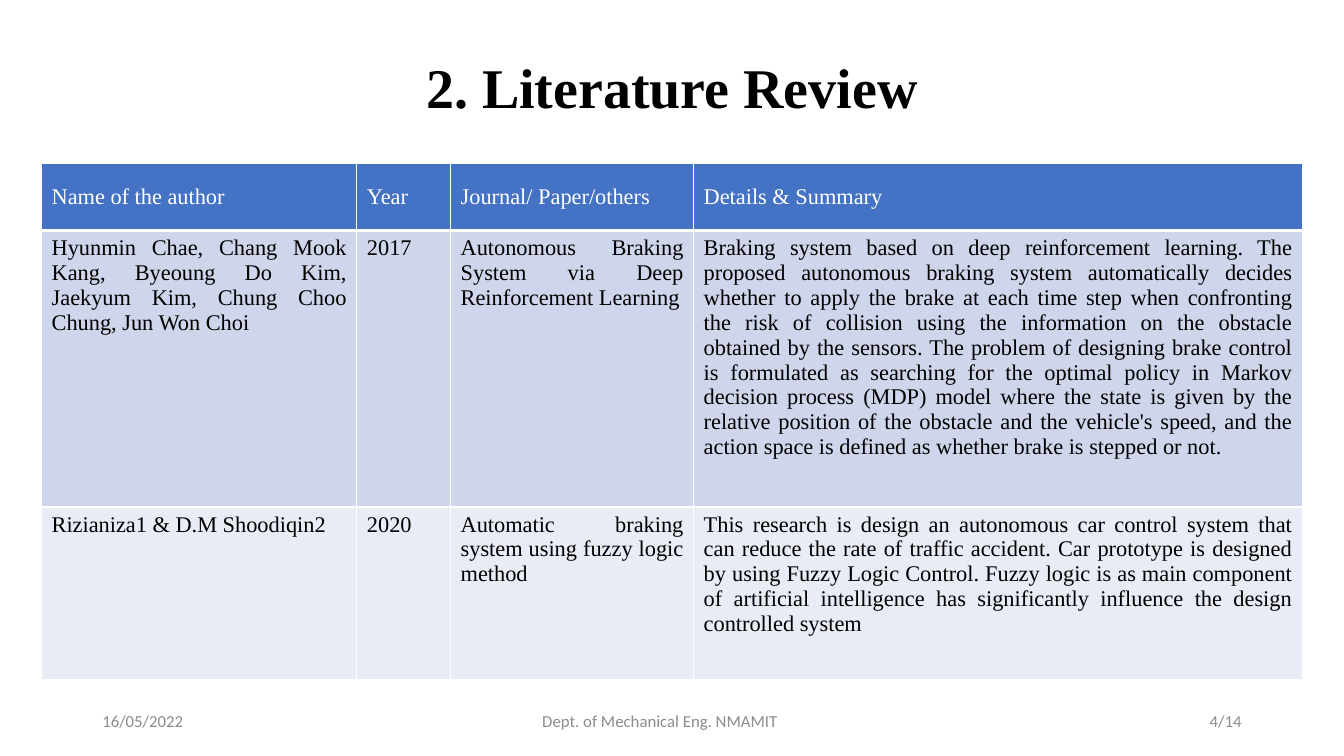
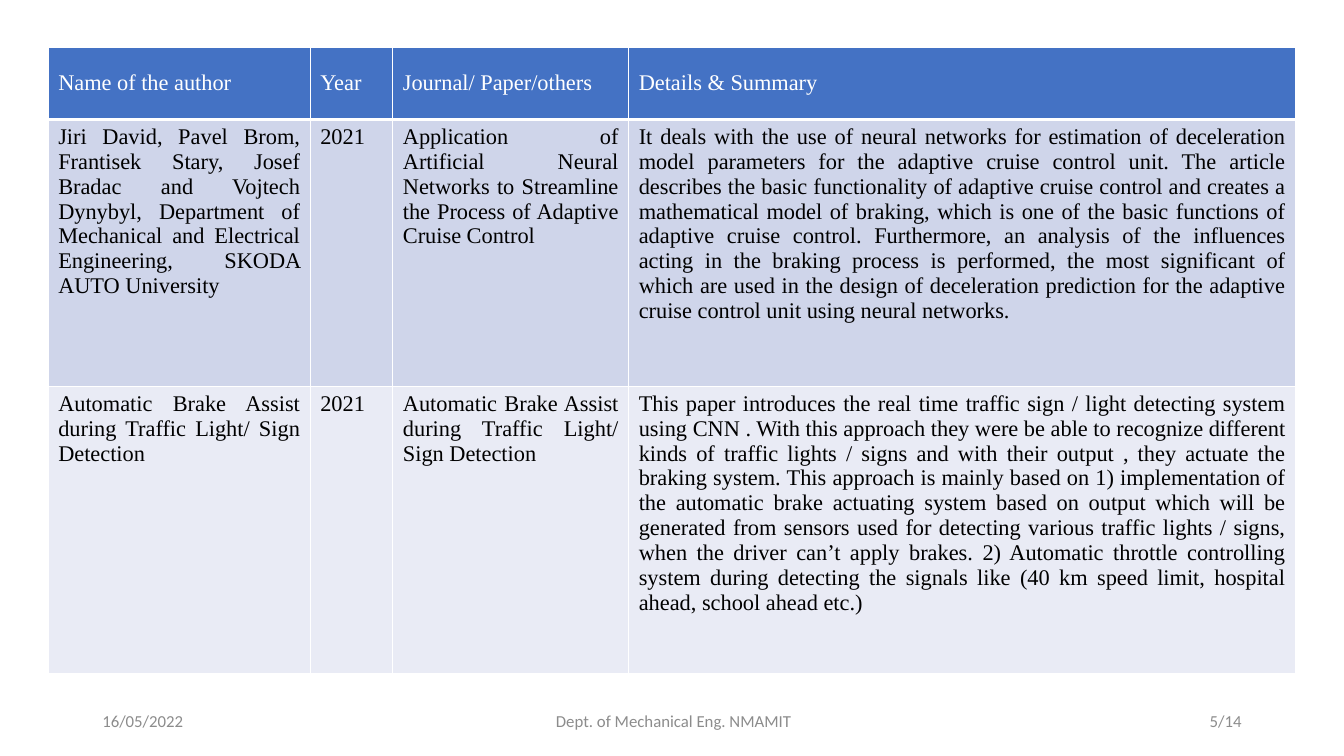
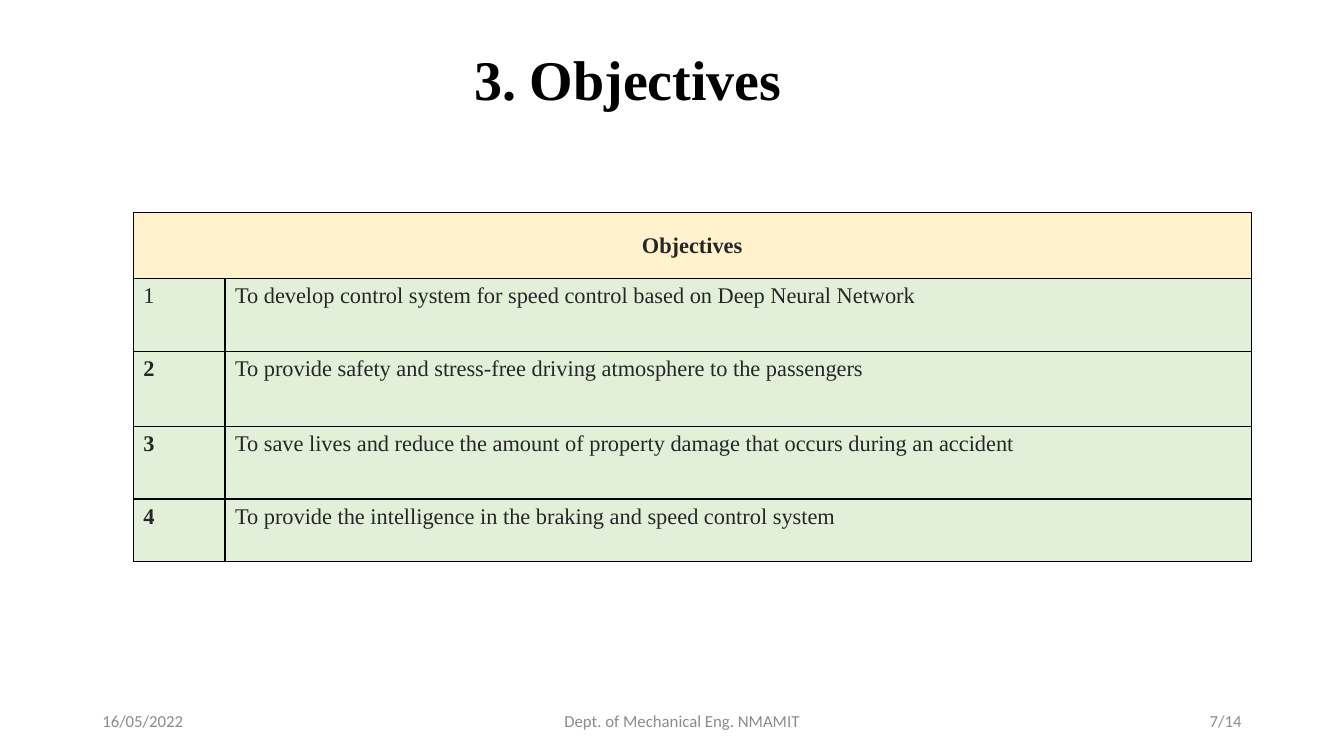
from lxml.etree import SubElement
from pptx import Presentation
from pptx.dml.color import RGBColor
from pptx.enum.text import MSO_ANCHOR as Anchor, PP_ALIGN as Align
from pptx.oxml.ns import qn
from pptx.util import Pt

SERIF, SANS = "Times New Roman", "Calibri"
BLACK, WHITE, GREY, INK = "000000", "FFFFFF", "8C8C8C", "262626"
BLUE, BANDS = "4472C4", ("CFD5EA", "E9EBF5")
CREAM, GREEN = "FFF2CC", "E2F0D9"
DATE, DEPT, TOTAL = "16/05/2022", "Dept. of Mechanical Eng. NMAMIT", 14
HEADS = ("Name of the author", "Year", "Journal/ Paper/others", "Details & Summary")

REVIEWS = [
    {
        "title": ("2. Literature Review", 828, 71.3), "page": 4, "dept": 380.2,
        "at": (29.7, 116.7), "cols": (225.2, 67, 173.6, 435), "rows": (48, 197.5, 123),
        "papers": [
            ("Hyunmin Chae, Chang Mook Kang, Byeoung Do Kim, Jaekyum Kim, "
             "Chung Choo Chung, Jun Won Choi",
             "2017",
             "Autonomous Braking System via Deep Reinforcement Learning",
             "Braking system based on deep reinforcement learning. The proposed autonomous "
             "braking system automatically decides whether to apply the brake at each time "
             "step when confronting the risk of collision using the information on the "
             "obstacle obtained by the sensors. The problem of designing brake control is "
             "formulated as searching for the optimal policy in Markov decision process "
             "(MDP) model where the state is given by the relative position of the obstacle "
             "and the vehicle's speed, and the action space is defined as whether brake is "
             "stepped or not."),
            ("Rizianiza1 & D.M Shoodiqin2",
             "2020",
             "Automatic braking system using fuzzy logic method",
             "This research is design an autonomous car control system that can reduce the "
             "rate of traffic accident. Car prototype is designed by using Fuzzy Logic "
             "Control. Fuzzy logic is as main component of artificial intelligence has "
             "significantly influence the design controlled system"),
        ],
    },
    {
        "title": None, "page": 5, "dept": 390,
        "at": (34.4, 33.9), "cols": (187.2, 59, 168.5, 476.6), "rows": (51.4, 190.6, 205),
        "papers": [
            ("Jiri David, Pavel Brom, Frantisek Stary, Josef Bradac and Vojtech Dynybyl, "
             "Department of Mechanical and Electrical Engineering, SKODA AUTO University",
             "2021",
             "Application of Artificial Neural Networks to Streamline the Process of "
             "Adaptive Cruise Control",
             "It deals with the use of neural networks for estimation of deceleration model "
             "parameters for the adaptive cruise control unit. The article describes the "
             "basic functionality of adaptive cruise control and creates a mathematical "
             "model of braking, which is one of the basic functions of adaptive cruise "
             "control. Furthermore, an analysis of the influences acting in the braking "
             "process is performed, the most significant of which are used in the design of "
             "deceleration prediction for the adaptive cruise control unit using neural "
             "networks."),
            ("Automatic Brake Assist during Traffic Light/ Sign Detection",
             "2021",
             "Automatic Brake Assist during Traffic Light/ Sign Detection",
             "This paper introduces the real time traffic sign / light detecting system "
             "using CNN . With this approach they were be able to recognize different kinds "
             "of traffic lights / signs and with their output , they actuate the braking "
             "system. This approach is mainly based on 1) implementation of the automatic "
             "brake actuating system based on output which will be generated from sensors "
             "used for detecting various traffic lights / signs, when the driver can’t "
             "apply brakes. 2) Automatic throttle controlling system during detecting the "
             "signals like (40 km speed limit, hospital ahead, school ahead etc.)"),
        ],
    },
]
GOALS = {
    "title": ("3. Objectives", 765, 59.8), "page": 7, "dept": 396,
    "at": (95.2, 152), "cols": (65.5, 733), "rows": (46.9, 52.4, 53.4, 51.8, 44.4),
    "head": "Objectives",
    "items": [
        "To develop control system for speed control based on Deep Neural Network",
        "To provide safety and stress-free driving atmosphere to the passengers",
        "To save lives and reduce the amount of property damage that occurs during an accident",
        "To provide the intelligence in the braking and speed control system",
    ],
}


def rgb(code):
    return RGBColor.from_string(code)


def write(frame, text, size, color, face=SERIF, bold=False, align=Align.LEFT):
    para = frame.paragraphs[0]
    para.text, para.alignment = text, align
    font = para.font
    font.name, font.size, font.bold = face, Pt(size), bold
    font.color.rgb = rgb(color)
    return para


def add_text(slide, box, text, size, color, **style):
    frame = slide.shapes.add_textbox(*map(Pt, box)).text_frame
    frame.word_wrap = True
    frame.vertical_anchor = Anchor.MIDDLE
    return write(frame, text, size, color, **style)


def add_slide(deck, data):
    """Add a slide with its title, if any, and the footer line."""
    slide = deck.slides.add_slide(deck.slide_layouts[6])
    if data["title"]:
        text, width, height = data["title"]
        para = add_text(slide, (66, 28.8, width, height), text, 40, BLACK,
                        bold=True, align=Align.CENTER)
        para.line_spacing = 0.9
    footer = (
        (66, 216, DATE, Align.LEFT),
        (data["dept"], 237, DEPT, Align.LEFT),
        (678, 216, f"{data['page']}/{TOTAL}", Align.RIGHT),
    )
    for left, width, text, align in footer:
        add_text(slide, (left, 500.5, width, 28.8), text, 12, GREY, face=SANS, align=align)
    return slide


def add_grid(slide, data):
    cols, rows = data["cols"], data["rows"]
    box = (*data["at"], sum(cols), sum(rows))
    grid = slide.shapes.add_table(len(rows), len(cols), *map(Pt, box)).table
    grid.first_row = grid.horz_banding = False
    for col, width in zip(grid.columns, cols):
        col.width = Pt(width)
    for row, height in zip(grid.rows, rows):
        row.height = Pt(height)
    return grid


def paint(cell, fill, edge, top=1, bottom=1):
    """Draw the four borders, then the fill, in the order the schema asks for."""
    props = cell._tc.get_or_add_tcPr()
    for side, width in (("L", 1), ("R", 1), ("T", top), ("B", bottom)):
        line = SubElement(props, qn(f"a:ln{side}"), w=str(Pt(width)))
        SubElement(SubElement(line, qn("a:solidFill")), qn("a:srgbClr"), val=edge)
    cell.fill.solid()
    cell.fill.fore_color.rgb = rgb(fill)


def add_review(deck, data):
    grid = add_grid(add_slide(deck, data), data)
    for r, texts in enumerate([HEADS, *data["papers"]]):
        head = r == 0
        for c, text in enumerate(texts):
            cell = grid.cell(r, c)
            paint(cell, BLUE if head else BANDS[r - 1], WHITE,
                  top=3 if r == 1 else 1, bottom=3 if head else 1)
            cell.vertical_anchor = Anchor.MIDDLE if head else Anchor.TOP
            write(cell.text_frame, text, 16, WHITE if head else BLACK, align=Align.JUSTIFY)


def add_goals(deck, data):
    grid = add_grid(add_slide(deck, data), data)
    for n, cell in enumerate(grid.iter_cells()):
        paint(cell, CREAM if n < 2 else GREEN, BLACK)
    head = grid.cell(0, 0)
    head.merge(grid.cell(0, 1))
    head.vertical_anchor = Anchor.MIDDLE
    write(head.text_frame, data["head"], 16, INK, bold=True, align=Align.CENTER)
    for n, text in enumerate(data["items"], 1):
        write(grid.cell(n, 0).text_frame, str(n), 16, INK, bold=n > 1)
        write(grid.cell(n, 1).text_frame, text, 16, INK)


def main():
    deck = Presentation()
    deck.slide_width, deck.slide_height = Pt(960), Pt(540)
    for data in REVIEWS:
        add_review(deck, data)
    add_goals(deck, GOALS)
    deck.save("out.pptx")


if __name__ == "__main__":
    main()
